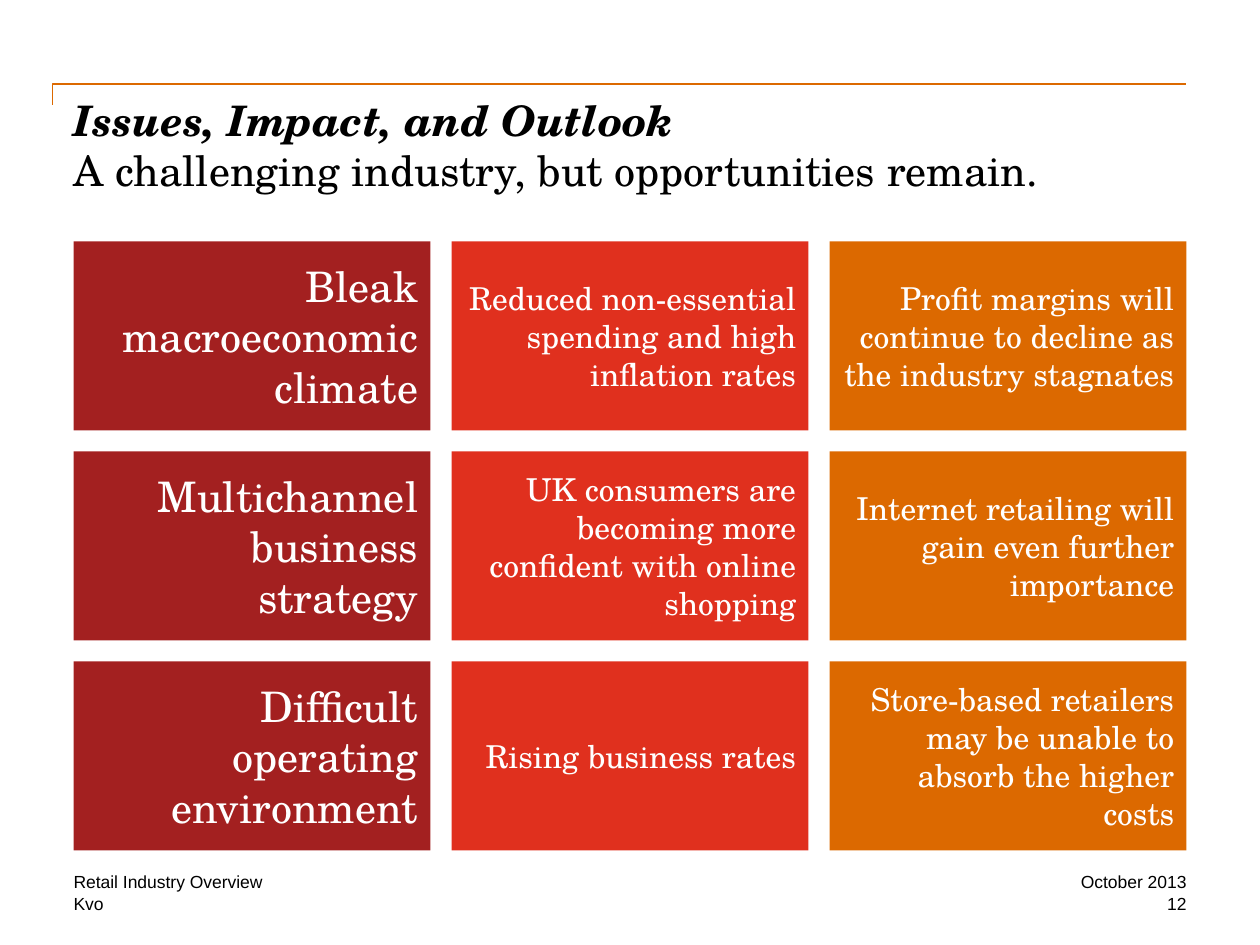
"""Build the retail issues, impact and outlook slide."""
from pptx import Presentation
from pptx.dml.color import RGBColor
from pptx.enum.shapes import MSO_SHAPE
from pptx.enum.text import MSO_ANCHOR, MSO_AUTO_SIZE, PP_ALIGN
from pptx.util import Pt

RECTANGLE = MSO_SHAPE.RECTANGLE
TOP, MIDDLE = MSO_ANCHOR.TOP, MSO_ANCHOR.MIDDLE
LEFT, RIGHT = PP_ALIGN.LEFT, PP_ALIGN.RIGHT
NO_FIT = MSO_AUTO_SIZE.NONE
TITLE_ONLY = 5

COLORS = {"issue": "A32020", "impact": "E0301E", "outlook": "DC6900",
          "rule": "DC6900", "text": "000000", "card_text": "FFFFFF"}
SERIF, SANS = "TeX Gyre Schola", "Arial"

COLUMNS = [("issue", 24), ("impact", 18), ("outlook", 18)]
ROWS = [
    ("Bleak macroeconomic climate",
     "Reduced non-essential spending and high inflation rates",
     "Profit margins will continue to decline as the industry stagnates"),
    ("Multichannel business strategy",
     "UK consumers are becoming more confident with online shopping",
     "Internet retailing will gain even further importance"),
    ("Difficult operating environment",
     "Rising business rates",
     "Store-based retailers may be unable to absorb the higher costs"),
]
MARGIN, CONTENT_WIDTH = 42, 636
GRID_TOP, CARD_WIDTH, CARD_HEIGHT, GAP = 138, 204, 108, 12
FOOTERS = [
    (MARGIN, 498, 414, "Retail Industry Overview", LEFT),
    (MARGIN, 510, 204, "Kvo", LEFT),
    (558, 498, 120, "October 2013", RIGHT),
    (558, 510, 120, "12", RIGHT),
]


def set_values(target, values):
    """Set each named attribute on the target."""
    for name, value in values.items():
        setattr(target, name, value)


class SlideBuilder:
    """Holds the style and the current slide."""

    def __init__(self, slide):
        """Keep the slide that receives the elements."""
        self.slide = slide

    def color(self, key):
        """Return the named colour."""
        return RGBColor.from_string(COLORS[key])

    def frame(self, shape, anchor, inset_x=0, inset_y=0):
        """Format the text frame of a shape and return it."""
        set_values(shape.text_frame, {
            "word_wrap": True, "auto_size": NO_FIT, "vertical_anchor": anchor,
            "margin_left": Pt(inset_x), "margin_right": Pt(inset_x),
            "margin_top": Pt(inset_y), "margin_bottom": Pt(inset_y)})
        return shape.text_frame

    def run(self, paragraph, text, size, font, color, align, strong=False):
        """Add formatted text to a paragraph."""
        paragraph.alignment = align
        run = paragraph.add_run()
        run.text = text
        set_values(run.font, {"size": Pt(size), "name": font,
                              "bold": strong, "italic": strong})
        run.font.color.rgb = self.color(color)

    def title(self, heading, message):
        """Place the two-line title."""
        title = self.slide.shapes.title
        set_values(title, {"left": Pt(MARGIN), "top": Pt(54),
                           "width": Pt(CONTENT_WIDTH), "height": Pt(72)})
        paragraph = self.frame(title, TOP).paragraphs[0]
        self.run(paragraph, heading, 24, SERIF, "text", LEFT, strong=True)
        paragraph.add_line_break()
        self.run(paragraph, message, 24, SERIF, "text", LEFT)

    def rule(self, start, *points):
        """Draw an open line through the points."""
        outline = self.slide.shapes.build_freeform(*map(Pt, start))
        outline.add_line_segments([(Pt(x), Pt(y)) for x, y in points], close=False)
        rule = outline.convert_to_shape()
        rule.shadow.inherit = False
        rule.fill.background()
        rule.line.color.rgb = self.color("rule")
        rule.line.width = Pt(1)

    def card(self, left, top, text, fill, size):
        """Add a filled card with right-aligned text."""
        card = self.slide.shapes.add_shape(
            RECTANGLE, Pt(left), Pt(top), Pt(CARD_WIDTH), Pt(CARD_HEIGHT))
        card.shadow.inherit = False
        card.fill.solid()
        card.fill.fore_color.rgb = self.color(fill)
        card.line.fill.background()
        paragraph = self.frame(card, MIDDLE, 7.2, 3.6).paragraphs[0]
        self.run(paragraph, text, size, SERIF, "card_text", RIGHT)

    def footer(self, left, top, width, text, align):
        """Add one line of footer text."""
        footer = self.slide.shapes.add_textbox(Pt(left), Pt(top), Pt(width), Pt(12))
        paragraph = self.frame(footer, TOP).paragraphs[0]
        self.run(paragraph, text, 10, SANS, "text", align)


def main():
    """Build and save the slide."""
    deck = Presentation()
    set_values(deck, {"slide_width": Pt(720), "slide_height": Pt(540)})
    builder = SlideBuilder(deck.slides.add_slide(deck.slide_layouts[TITLE_ONLY]))
    builder.rule((30, 60), (30, 48), (678, 48))
    builder.title("Issues, Impact, and Outlook",
                  "A challenging industry, but opportunities remain.")
    for row, texts in enumerate(ROWS):
        for column, (text, (fill, size)) in enumerate(zip(texts, COLUMNS)):
            builder.card(MARGIN + column * (CARD_WIDTH + GAP),
                         GRID_TOP + row * (CARD_HEIGHT + GAP), text, fill, size)
    for footer in FOOTERS:
        builder.footer(*footer)
    deck.save("out.pptx")


if __name__ == "__main__":
    main()
